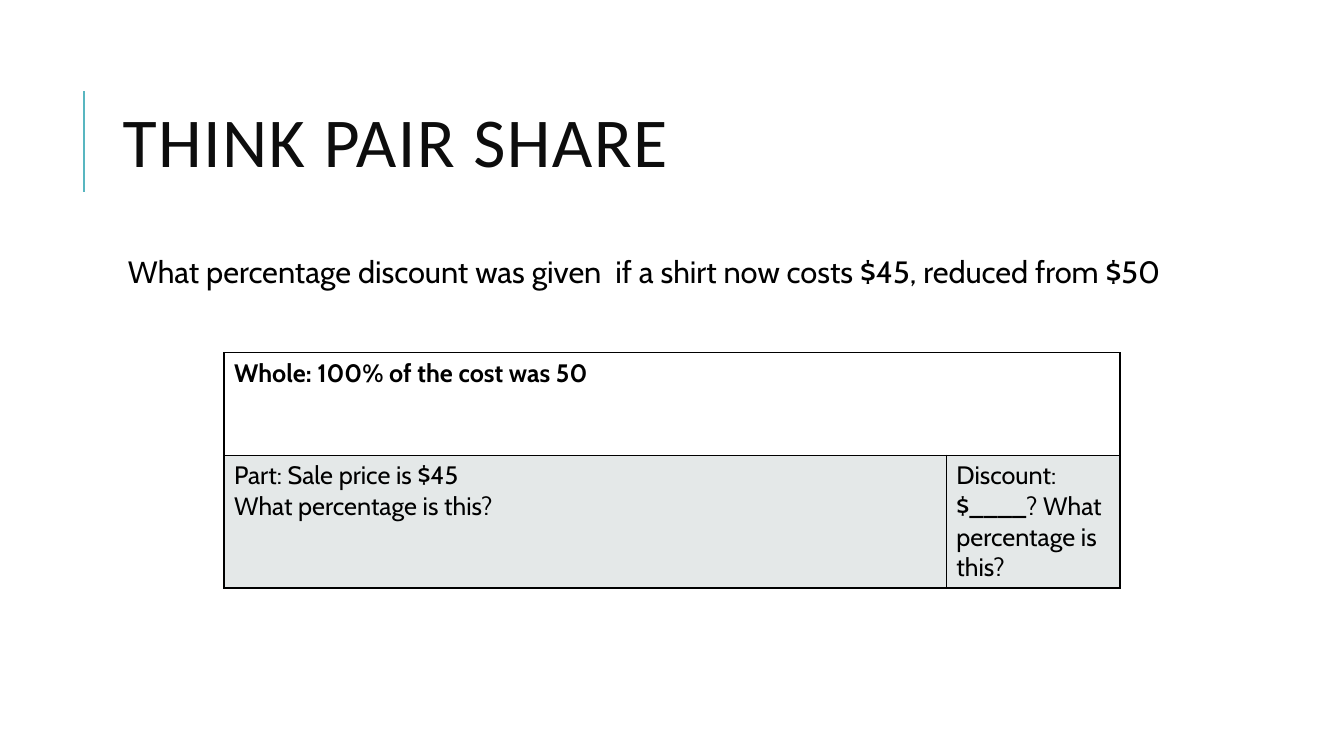
from lxml.etree import SubElement
from pptx import Presentation
from pptx.dml.color import RGBColor as Rgb
from pptx.enum.shapes import MSO_CONNECTOR as Connector
from pptx.enum.text import MSO_ANCHOR as Anchor
from pptx.oxml.ns import qn
from pptx.util import Inches, Pt

COLORS = {
    "accent": "58B6C0",
    "title": "0D0D0D",
    "ink": "000000",
    "part": "7A8C8E",
}
FONTS = {
    "title": {"name": "Calibri", "size": Pt(50)},
    "question": {"name": "Cabin", "size": Pt(22)},
    "cell": {"name": "Cabin", "size": Pt(18), "bold": False},
    "whole": {"name": "Cabin", "size": Pt(18), "bold": True},
}
COLUMNS, ROWS = 48, 27


def color(name):
    return Rgb.from_string(COLORS[name])


def assign(target, values):
    for name, value in values.items():
        setattr(target, name, value)


class Page:
    def __init__(self, deck):
        self.slide = deck.slides.add_slide(deck.slide_layouts[6])
        self.column = deck.slide_width / COLUMNS
        self.row = deck.slide_height / ROWS

    def place(self, *lengths):
        units = (self.column, self.row) * 2
        return [round(length * unit) for length, unit in zip(lengths, units)]

    def fill_text(self, frame, lines, style, ink="ink", spacing=1.0):
        frame.text = "\n".join(lines)
        for paragraph in frame.paragraphs:
            paragraph.line_spacing = spacing
            for run in paragraph.runs:
                assign(run.font, FONTS[style])
                run.font.color.rgb = color(ink)

    def text(self, at, line, style, ink, spacing, layout, tracking=0):
        box = self.slide.shapes.add_textbox(*self.place(*at))
        frame = box.text_frame
        assign(frame, {"word_wrap": True, **layout})
        self.fill_text(frame, [line], style, ink, spacing)
        if tracking:
            run = frame.paragraphs[0].runs[0]
            run.font._element.set("spc", str(tracking))

    def rule(self, ends):
        line = self.slide.shapes.add_connector(Connector.STRAIGHT, *self.place(*ends))
        line.line.color.rgb = color("accent")
        line.line.width = Pt(1.5)
        SubElement(line._element.spPr, qn("a:effectLst"))

    def border(self, cell):
        properties = cell._tc.get_or_add_tcPr()
        for side in ("lnL", "lnR", "lnT", "lnB"):
            edge = SubElement(properties, qn(f"a:{side}"), w=str(Pt(1)))
            fill = SubElement(edge, qn("a:solidFill"))
            SubElement(fill, qn("a:srgbClr"), val=COLORS["ink"])

    def shade(self, cell, name, opacity):
        cell.fill.solid()
        cell.fill.fore_color.rgb = color(name)
        tint = cell._tc.tcPr.find(f"{qn('a:solidFill')}/{qn('a:srgbClr')}")
        SubElement(tint, qn("a:alpha"), val=str(opacity * 1000))

    def bar_model(self, left, top, widths, heights, whole, parts):
        at = self.place(left, top, sum(widths), sum(heights))
        table = self.slide.shapes.add_table(len(heights), len(widths), *at).table
        assign(table, {"first_row": False, "horz_banding": False})
        for column, width in zip(table.columns, widths):
            column.width = round(width * self.column)
        for row, height in zip(table.rows, heights):
            row.height = round(height * self.row)
        for cell in table.iter_cells():
            self.border(cell)
            cell.fill.background()
        table.cell(0, 0).merge(table.cell(0, len(widths) - 1))
        self.fill_text(table.cell(0, 0).text_frame, whole, "whole")
        for index, lines in enumerate(parts):
            part = table.cell(1, index)
            self.shade(part, "part", 20)
            self.fill_text(part.text_frame, lines, "cell")


def main():
    deck = Presentation()
    deck.slide_width, deck.slide_height = Inches(13.33), Inches(7.5)
    page = Page(deck)
    page.rule((3, 6.84, 3, 3.24))
    page.text(
        (4.03, 2.3, 38.28, 5.9), "THINK PAIR SHARE", "title", "title", 0.8,
        {"vertical_anchor": Anchor.MIDDLE}, tracking=100,
    )
    page.text(
        (4.03, 9, 38.28, 15.84),
        "What percentage discount was given  if a shirt now costs $45, reduced from $50",
        "question", "ink", 0.9,
        {
            "margin_left": Inches(0.15),
            "margin_right": Inches(0.05),
            "margin_top": Inches(0.05),
            "margin_bottom": Inches(0.05),
        },
    )
    page.bar_model(
        8, 12.6, (25.8, 6.2), (3.66, 4.74),
        ["Whole: 100% of the cost was 50"],
        [
            ["Part: Sale price is $45", "What percentage is this?"],
            ["Discount: $____? What percentage is this?"],
        ],
    )
    deck.save("out.pptx")


if __name__ == "__main__":
    main()
